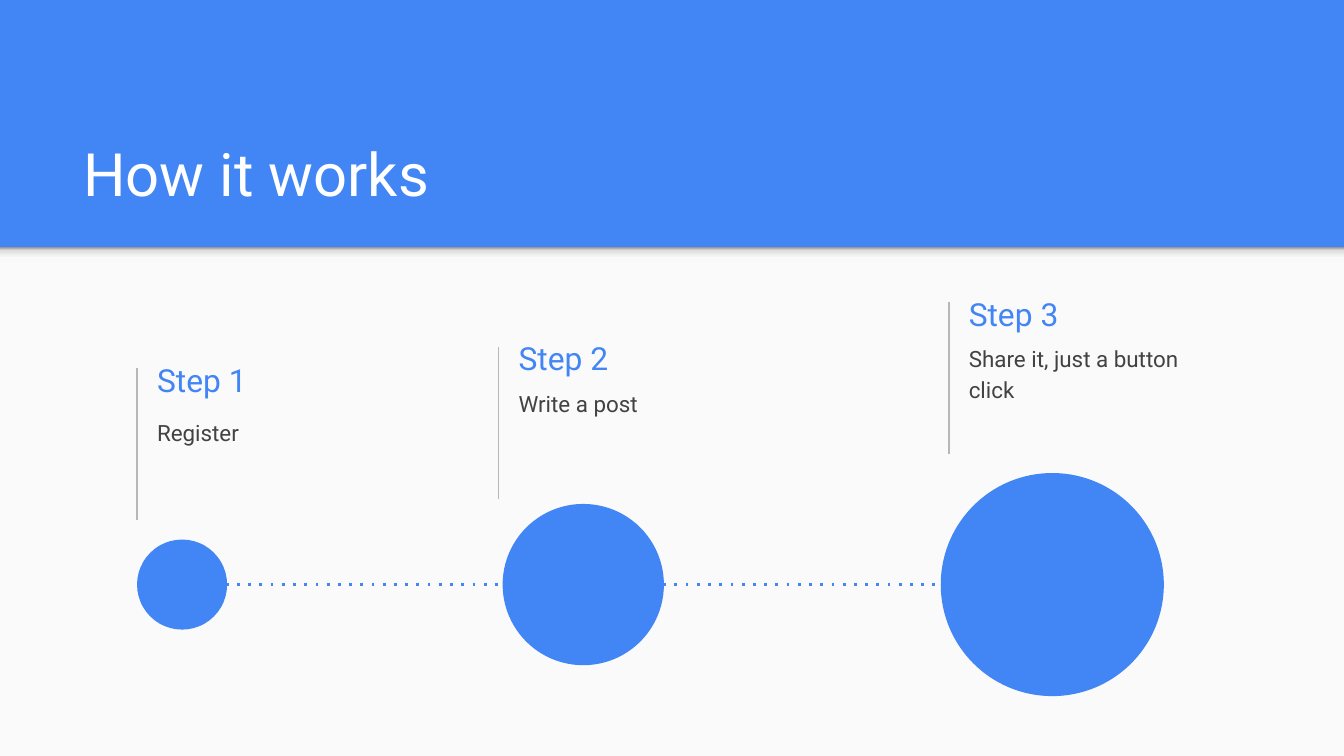
from copy import deepcopy

from pptx import Presentation
from pptx.dml.color import RGBColor
from pptx.enum.dml import MSO_LINE
from pptx.enum.shapes import MSO_CONNECTOR, MSO_SHAPE
from pptx.enum.text import MSO_ANCHOR, MSO_AUTO_SIZE, PP_ALIGN
from pptx.oxml.ns import qn
from pptx.util import Inches, Pt

FONT = "Roboto"
COLORS = {
    "blue": "4285F4",
    "panel": "FAFAFA",
    "white": "FFFFFF",
    "rule": "B7B7B7",
    "text": "424242",
}
SHADE = [(0, "F9F9F9"), (0.36, "F9F9F9"), (0.8, "DEDEDE"), (1, "999999")]
WIDTH = 10
HEIGHT = WIDTH * 9 / 16
EDGE = 1.84
AXIS = 4.35
# heading, detail, rule left, rule top, gap to detail, circle left, diameter
STEPS = [
    ("Step 1", "Register", 1.02, 2.74, 0.38, 1.02, 0.67),
    ("Step 2", "Write a post", 3.71, 2.58, 0.32, 3.74, 1.2),
    ("Step 3", "Share it, just a button click", 7.06, 2.25, 0.32, 7, 1.66),
]


def rgb(name):
    return RGBColor.from_string(COLORS[name])


def add_shape(slide, kind, box, color):
    shape = slide.shapes.add_shape(kind, *map(Inches, box))
    shape.shadow.inherit = False
    shape.fill.solid()
    shape.fill.fore_color.rgb = rgb(color)
    shape.line.fill.background()
    return shape


def add_shade(slide):
    """Add the soft shadow strip along the top edge of the panel."""
    box = (0, EDGE, WIDTH, 0.12)
    strip = add_shape(slide, MSO_SHAPE.RECTANGLE, box, "panel")
    strip.fill.gradient()
    strip.fill.gradient_angle = 90
    stops = strip._element.spPr.find(".//" + qn("a:gsLst"))
    while len(stops) < len(SHADE):
        stops.append(deepcopy(stops[0]))
    for stop, (place, color) in zip(strip.fill.gradient_stops, SHADE):
        stop.position = place
        stop.color.rgb = RGBColor.from_string(color)


def add_line(slide, start, end, color, width):
    ends = map(Inches, (*start, *end))
    line = slide.shapes.add_connector(MSO_CONNECTOR.STRAIGHT, *ends)
    line.line.color.rgb = rgb(color)
    line.line.width = Pt(width)
    props = line._element.spPr
    props.append(props.makeelement(qn("a:effectLst"), {}))
    return line


def add_dots(slide, start, end):
    """Add a line with the wide "dot" pattern, which MSO_LINE lacks."""
    line = add_line(slide, start, end, "blue", 1.5)
    line.line.dash_style = MSO_LINE.ROUND_DOT
    line._element.spPr.find(".//" + qn("a:prstDash")).set("val", "dot")


def set_text(shape, text, size, color, anchor):
    frame = shape.text_frame
    frame.word_wrap = True
    frame.auto_size = MSO_AUTO_SIZE.NONE
    frame.vertical_anchor = anchor
    frame.margin_left = frame.margin_right = Inches(0.1)
    frame.margin_top = frame.margin_bottom = Inches(0.1)
    para = frame.paragraphs[0]
    para.alignment = PP_ALIGN.LEFT
    run = para.add_run()
    run.text = text
    run.font.name = FONT
    run.font.size = Pt(size)
    run.font.color.rgb = rgb(color)
    return para


def set_title(slide, text):
    title = slide.shapes.title
    title.left, title.top = Inches(0.52), Inches(0.81)
    title.width, title.height = Inches(8.99), Inches(0.84)
    set_text(title, text, 32, "white", MSO_ANCHOR.BOTTOM)


def add_text(slide, box, *style):
    shape = slide.shapes.add_textbox(*map(Inches, box))
    return set_text(shape, *style)


def add_step(slide, head, detail, x, y, gap):
    add_line(slide, (x, y), (x, y + 1.13), "rule", 0.75)
    left, top = x + 0.05, y - 0.13
    add_text(slide, (left, top, 1.98, 0.43),
             head, 17, "blue", MSO_ANCHOR.MIDDLE)
    para = add_text(slide, (left, top + gap, 1.98, 0.63),
                    detail, 12, "text", MSO_ANCHOR.TOP)
    para.line_spacing = 1.15
    para.space_after = Pt(16)


def main():
    deck = Presentation()
    deck.slide_width, deck.slide_height = Inches(WIDTH), Inches(HEIGHT)
    slide = deck.slides.add_slide(deck.slide_layouts[5])
    slide.background.fill.solid()
    slide.background.fill.fore_color.rgb = rgb("blue")

    panel = (0, EDGE, WIDTH, HEIGHT - EDGE)
    add_shape(slide, MSO_SHAPE.RECTANGLE, panel, "panel")
    add_shade(slide)
    set_title(slide, "How it works")
    for head, detail, x, y, gap, *_ in STEPS:
        add_step(slide, head, detail, x, y, gap)

    add_dots(slide, (1.68, AXIS), (7, AXIS))
    for *_, left, size in STEPS:
        box = (left, AXIS - size / 2, size, size)
        add_shape(slide, MSO_SHAPE.OVAL, box, "blue")

    deck.save("out.pptx")


if __name__ == "__main__":
    main()
